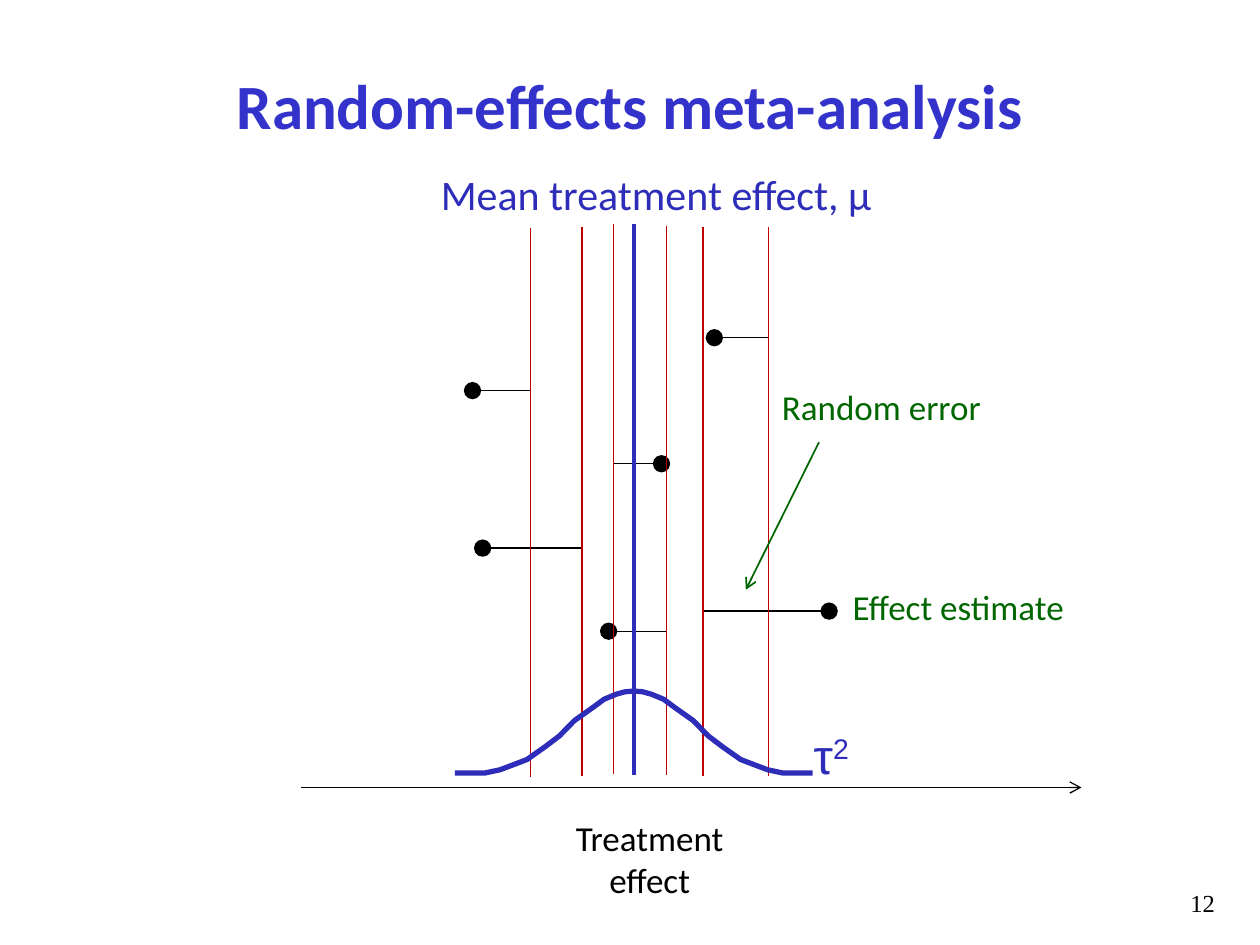
from lxml import etree
from pptx import Presentation
from pptx.dml.color import RGBColor
from pptx.enum import shapes, text
from pptx.oxml.ns import qn
from pptx.util import Pt

TITLE_BLUE = RGBColor(0x33, 0x33, 0xCC)
BLUE = RGBColor(0x2D, 0x2D, 0xB9)
GREEN = RGBColor(0x00, 0x66, 0x00)
RED = RGBColor(0xC0, 0x00, 0x00)
BLACK = RGBColor(0x00, 0x00, 0x00)

# Each study: true effect x, estimate x, estimate y, top of its red line
STUDIES = [
    (229.8, 301.8, 221.2, 1.6),
    (160.6, 103.8, 185.2, 1.6),
    (131, 98, 95.2, 2.3),
    (267.2, 236.2, 65, 1.6),
    (178.6, 206, 137, 0.2),
    (208.9, 175.8, 232.7, 0.9),
]
EFFECT_HEIGHT = 314
MEAN_X = 190.2

# Right half of the bell curve: distance from the mean, y
HALF_BELL = [
    (0, 266.9), (5, 267.3), (10, 268.7), (17, 271.6), (23, 276),
    (34, 283.8), (42.5, 292.5), (50.5, 298.6), (61, 306), (68, 308.7),
    (76.5, 311.9), (85, 313.7), (102.2, 313.7),
]


def write(frame, words, size, color, font="Calibri", bold=False,
          align=text.PP_ALIGN.LEFT, anchor=text.MSO_ANCHOR.TOP,
          wrap=True, superscript=""):
    frame.word_wrap = wrap
    frame.auto_size = text.MSO_AUTO_SIZE.NONE
    frame.vertical_anchor = anchor
    para = frame.paragraphs[0]
    para.text = words
    para.alignment = align
    para.space_before = Pt(0)
    if superscript:
        span = para.add_run()
        span.text = superscript
        span.font._element.set("baseline", "30000")
    for span in para.runs:
        span.font.name = font
        span.font.size = Pt(size)
        span.font.bold = bold
        span.font.color.rgb = color


def add_label(page, left, top, width, height, words, size, color, **style):
    box = page.shapes.add_textbox(Pt(left), Pt(top), Pt(width), Pt(height))
    write(box.text_frame, words, size, color, **style)


def add_line(page, start, end, color, weight=0.75, tip=None, tip_size="med"):
    line = page.shapes.add_connector(
        shapes.MSO_CONNECTOR.STRAIGHT, *(Pt(value) for value in (*start, *end)))
    line.line.color.rgb = color
    line.line.width = Pt(weight)
    if tip:
        etree.SubElement(line.line._get_or_add_ln(), qn("a:tailEnd"),
                         type=tip, w=tip_size, len=tip_size)
    etree.SubElement(line._element.spPr, qn("a:effectLst"))


def add_title(page, left, top, width, height):
    title = page.shapes.title
    title.left, title.top = Pt(left), Pt(top)
    title.width, title.height = Pt(width), Pt(height)
    write(title.text_frame, "Random-effects meta-analysis", 36, TITLE_BLUE,
          bold=True, align=text.PP_ALIGN.CENTER, anchor=text.MSO_ANCHOR.MIDDLE)


def add_bell(page, left, top):
    points = [(-x, y) for x, y in reversed(HALF_BELL[1:])] + HALF_BELL
    places = [(Pt(left + MEAN_X + x), Pt(top + y)) for x, y in points]
    builder = page.shapes.build_freeform(*places[0], scale=1.0)
    builder.add_line_segments(places[1:], close=False)
    bell = builder.convert_to_shape()
    bell.shadow.inherit = False
    bell.fill.background()
    bell.line.color.rgb = BLUE
    bell.line.width = Pt(3)


def add_diagram(page, left, top, width, height):
    # Random error of each study, ending in its estimate
    for effect, estimate, y, _ in STUDIES:
        add_line(page, (left + effect, top + y), (left + estimate, top + y),
                 BLACK, tip="oval", tip_size="lg")

    # True effect of each study
    for effect, _, _, start in STUDIES:
        add_line(page, (left + effect, top + start),
                 (left + effect, top + start + EFFECT_HEIGHT), RED)

    # Treatment effect axis
    add_line(page, (left, top + height), (left + width, top + height),
             BLACK, tip="arrow")

    # Distribution of effects and its mean
    add_bell(page, left, top)
    add_line(page, (left + MEAN_X, top),
             (left + MEAN_X, top + EFFECT_HEIGHT + 0.6), BLUE, weight=2.25)


def add_labels(page, left, top):
    add_label(page, left + 72.8, top - 35.1, 263.5, 36,
              "Mean treatment effect, μ", 24, BLUE, wrap=False)
    add_label(page, left + 265.8, top + 88.7, 131.8, 31.7,
              "Random error", 20, GREEN, align=text.PP_ALIGN.CENTER)
    add_line(page, (left + 296, top + 124.7), (left + 254.2, top + 209),
             GREEN, weight=1, tip="arrow")
    add_label(page, left + 308.2, top + 203.2, 158.4, 31,
              "Effect estimate", 20, GREEN)
    add_label(page, left + 285.9, top + 283.1, 50.4, 41,
              "τ", 28, BLUE, font="Arial", superscript="2")
    add_label(page, left + 139.8, top + 335, 118.8, 55.4,
              "Treatment\veffect", 20, BLACK, align=text.PP_ALIGN.CENTER)


def main():
    deck = Presentation()
    deck.slide_width, deck.slide_height = Pt(720), Pt(540)
    page = deck.slides.add_slide(deck.slide_layouts[5])
    add_title(page, 12, 14.4, 696, 90)
    add_diagram(page, 172, 128, 446, 322)
    add_labels(page, 172, 128)
    # Page number
    add_label(page, 604.8, 504, 96.5, 36, "12", 14, BLACK,
              font="Times New Roman", align=text.PP_ALIGN.RIGHT)
    deck.save("out.pptx")


if __name__ == "__main__":
    main()
